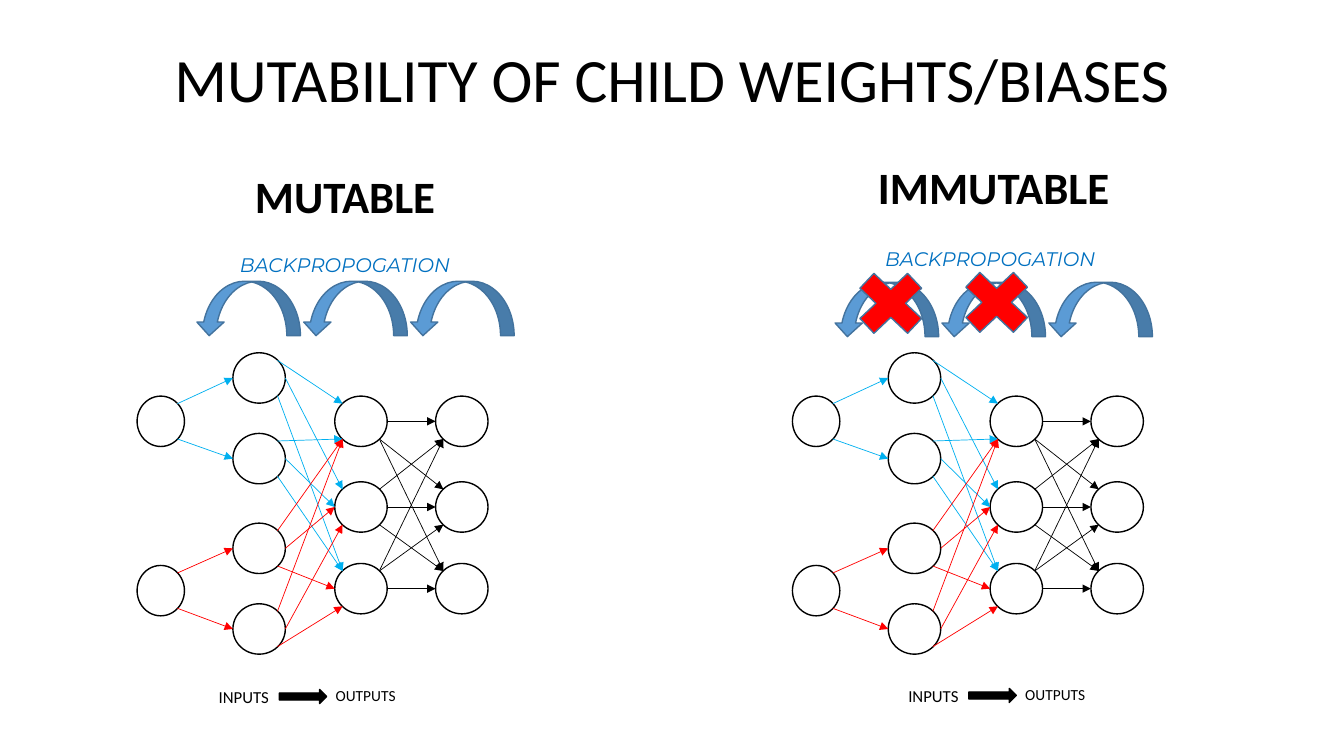
from pptx import Presentation
from pptx.dml.color import RGBColor
from pptx.enum.shapes import MSO_CONNECTOR as LINE, MSO_SHAPE as SHAPE
from pptx.enum.text import MSO_ANCHOR as ANCHOR, MSO_AUTO_SIZE as FIT, PP_ALIGN as ALIGN
from pptx.oxml.ns import qn
from pptx.util import Pt
from lxml import etree

PX = 9144  # 100 px to the inch
COLORS = {
    "black": "000000", "white": "FFFFFF", "blue": "00B0F0", "red": "FF0000",
    "arc": "5B9BD5", "edge": "43739E", "label": "0070C0",
}
TITLE = "MUTABILITY OF CHILD WEIGHTS/BIASES"

# Each net: x shift, heading, backpropagation label, arcs, crosses, key
SIDES = [
    {"shift": 0, "head": ("MUTABLE", 243, 162, 220), "label": (228, 246),
     "arcs": (194, 279), "crosses": [], "key": (207, 676)},
    {"shift": 650, "head": ("IMMUTABLE", 861, 154, 254), "label": (868, 240),
     "arcs": (827, 280), "crosses": [(838, 258), (943, 257)], "key": (891, 675)},
]
ARC_STEP, ARC_COUNT = 106, 3

# Layer: left, node width, node tops
LAYERS = {
    "in": (136, 47, [393, 561]),
    "a": (231, 52, [350, 430, 519, 599]),
    "b": (332, 52, [393, 478, 559]),
    "out": (432, 52, [393, 478, 559]),
}
NODE_H = 50

# Link: layer, node, port, then the same for the target
LINKS = {
    "blue": [
        ("in", 0, "NE", "a", 0, "W"), ("in", 0, "SE", "a", 1, "W"),
        ("a", 0, "NE", "b", 0, "NW"), ("a", 0, "E", "b", 1, "NW"),
        ("a", 0, "SE", "b", 2, "NW"), ("a", 1, "NE", "b", 0, "SW"),
        ("a", 1, "E", "b", 1, "W"), ("a", 1, "SE", "b", 2, "NW"),
    ],
    "red": [
        ("in", 1, "NE", "a", 2, "W"), ("in", 1, "SE", "a", 3, "W"),
        ("a", 2, "NE", "b", 0, "SW"), ("a", 2, "E", "b", 1, "W"),
        ("a", 2, "SE", "b", 2, "W"), ("a", 3, "NE", "b", 0, "SW"),
        ("a", 3, "E", "b", 1, "SW"), ("a", 3, "SE", "b", 2, "SW"),
    ],
    "black": [
        ("b", 0, "E", "out", 0, "W"), ("b", 0, "SE", "out", 1, "NW"),
        ("b", 0, "SE", "out", 2, "NW"), ("b", 1, "NE", "out", 0, "SW"),
        ("b", 1, "E", "out", 1, "W"), ("b", 1, "SE", "out", 2, "NW"),
        ("b", 2, "NE", "out", 0, "SW"), ("b", 2, "NE", "out", 1, "SW"),
        ("b", 2, "E", "out", 2, "W"),
    ],
}
# Place of each port as a share of the node's width and height
PORTS = {
    "E": (1, 0.5), "W": (0, 0.5), "NE": (0.85, 0.15),
    "SE": (0.85, 0.85), "NW": (0.15, 0.15), "SW": (0.15, 0.85),
}


def emu(*sizes):
    return [round(size * PX) for size in sizes]


def color(name):
    return RGBColor.from_string(COLORS[name])


def style(frame, text, size, tint="black", face="Calibri", bold=False, italic=False):
    frame.text = text
    font = frame.paragraphs[0].runs[0].font
    font.name, font.size, font.bold, font.italic = face, Pt(size), bold, italic
    font.color.rgb = color(tint)


def label(slide, text, box, size, wrap=True, **look):
    frame = slide.shapes.add_textbox(*emu(*box)).text_frame
    frame.word_wrap = wrap
    frame.auto_size = FIT.SHAPE_TO_FIT_TEXT
    style(frame, text, size, **look)


def draw(slide, kind, box, fill, line):
    shape = slide.shapes.add_shape(kind, *emu(*box))
    shape.shadow.inherit = False
    shape.fill.solid()
    shape.fill.fore_color.rgb = color(fill)
    shape.line.color.rgb = color(line)
    shape.line.width = Pt(1)
    return shape


def port(layer, index, side, shift):
    left, width, tops = LAYERS[layer]
    across, down = PORTS[side]
    return left + shift + across * width, tops[index] + down * NODE_H


def link(slide, start, end, tint):
    wire = slide.shapes.add_connector(LINE.STRAIGHT, *emu(*start, *end))
    wire.line.color.rgb = color(tint)
    wire.line.width = Pt(0.5)
    tip = etree.SubElement(wire.line._get_or_add_ln(), qn("a:tailEnd"))
    tip.set("type", "triangle")
    etree.SubElement(wire._element.spPr, qn("a:effectLst"))


def net(slide, shift):
    for left, width, tops in LAYERS.values():
        for top in tops:
            box = (left + shift, top, width, NODE_H)
            draw(slide, SHAPE.FLOWCHART_CONNECTOR, box, "white", "black")
    for tint, links in LINKS.items():
        for entry in links:
            link(slide, port(*entry[:3], shift), port(*entry[3:], shift), tint)


def panel(slide, side):
    net(slide, side["shift"])
    text, left, top, width = side["head"]
    label(slide, text, (left, top, width, 64), 32, bold=True)

    left, top = side["arcs"]
    for index in range(ARC_COUNT):
        box = (left + index * ARC_STEP, top, 104, 54)
        arc = draw(slide, SHAPE.CURVED_DOWN_ARROW, box, "arc", "edge")
        arc._element.spPr.get_or_add_xfrm().set("flipH", "1")
    label(slide, "BACKPROPOGATION", (*side["label"], 242, 34), 14, wrap=False,
          tint="label", face="Montserrat", italic=True)
    for spot in side["crosses"]:
        draw(slide, SHAPE.MATH_MULTIPLY, (*spot, 91, 86), "red", "edge")

    left, top = side["key"]
    label(slide, "INPUTS", (left, top, 71, 30), 12)
    draw(slide, SHAPE.RIGHT_ARROW, (left + 70, top + 8, 47, 14), "black", "black")
    label(slide, "OUTPUTS", (left + 116, top, 82, 29), 11)


def main():
    deck = Presentation()
    deck.slide_width, deck.slide_height = emu(1333, 750)
    slide = deck.slides.add_slide(deck.slide_layouts[5])
    title = slide.shapes.title
    title.left, title.top, title.width, title.height = emu(92, 9, 1150, 145)
    style(title.text_frame, TITLE, 44)
    title.text_frame.vertical_anchor = ANCHOR.MIDDLE
    title.text_frame.paragraphs[0].alignment = ALIGN.CENTER
    title.text_frame.paragraphs[0].line_spacing = 0.9
    for side in SIDES:
        panel(slide, side)
    deck.save("out.pptx")


if __name__ == "__main__":
    main()
